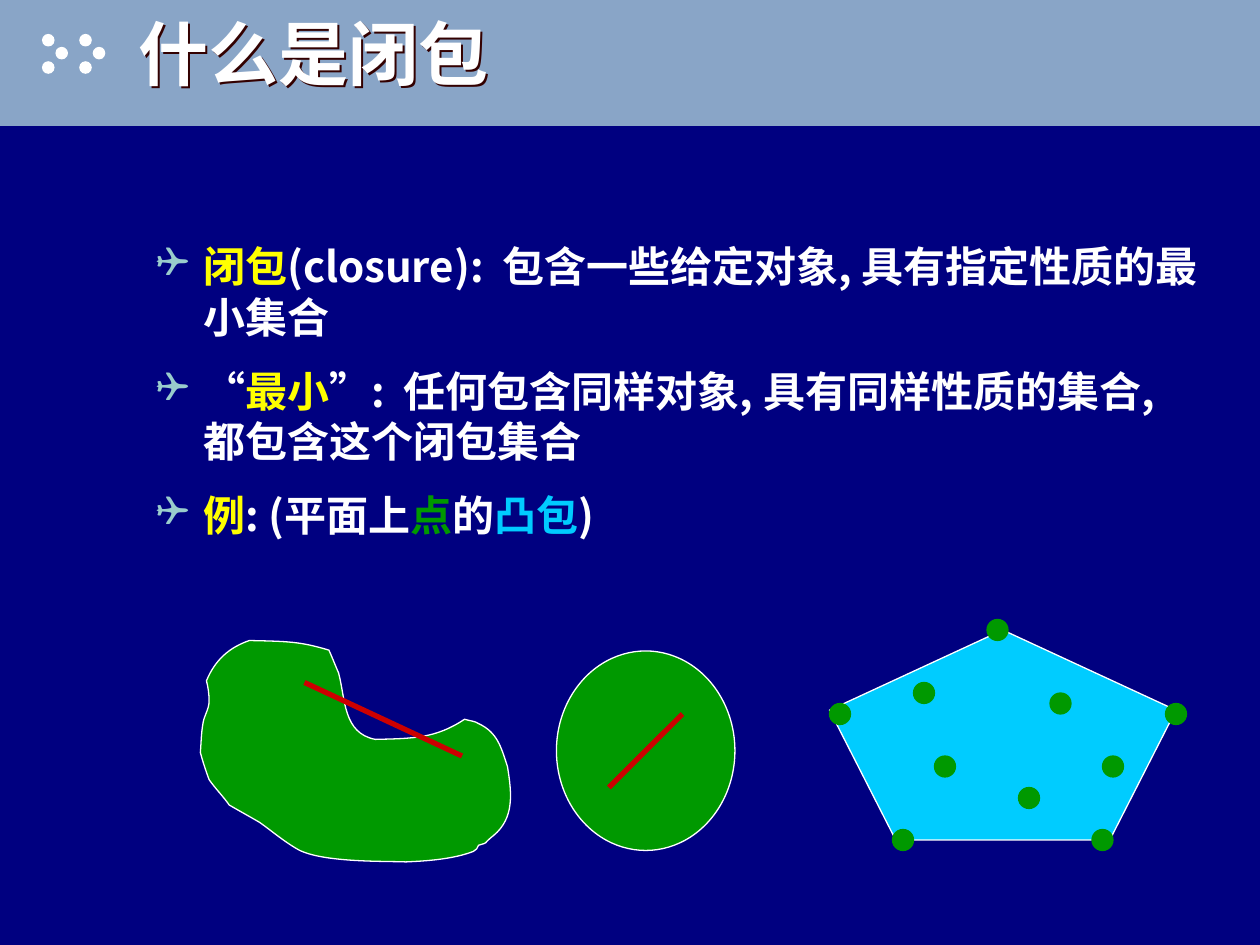
from lxml.etree import SubElement as Sub
from pptx import Presentation
from pptx.dml.color import RGBColor as RGB
from pptx.enum.shapes import MSO_CONNECTOR as Conn, MSO_SHAPE as Shape
from pptx.enum.text import MSO_ANCHOR as Anchor
from pptx.oxml.ns import qn
from pptx.util import Pt

NAVY = RGB(0x00, 0x00, 0x80)
STEEL = RGB(0x89, 0xA5, 0xC7)
WHITE = RGB(0xFF, 0xFF, 0xFF)
YELLOW = RGB(0xFF, 0xFF, 0x00)
GREEN = RGB(0x00, 0x99, 0x00)
CYAN = RGB(0x00, 0xCC, 0xFF)
RED = RGB(0xCC, 0x00, 0x00)
TEAL = RGB(0x99, 0xCC, 0xCC)
DARK = RGB(0x33, 0x00, 0x00)
SANS, LATIN = "Noto Sans CJK SC", "Arial"


class Deck:
    """Holds the style and the current slide."""

    def __init__(self, wide, high):
        self.prs = Presentation()
        self.prs.slide_width, self.prs.slide_height = Pt(wide), Pt(high)
        self.slide = self.prs.slides.add_slide(self.prs.slide_layouts[6])
        self.slide.background.fill.solid()
        self.slide.background.fill.fore_color.rgb = NAVY
        self.shapes = self.slide.shapes

    def paint(self, shape, fill, line=None):
        shape.shadow.inherit = False
        shape.fill.solid()
        shape.fill.fore_color.rgb = fill
        if line is None:
            shape.line.fill.background()
        else:
            shape.line.color.rgb = line
            shape.line.width = Pt(0.75)

    def shape(self, kind, x, y, w, h, fill, line=None):
        self.paint(self.shapes.add_shape(kind, Pt(x), Pt(y), Pt(w), Pt(h)), fill, line)

    def dots(self, spots, size, fill, line=None):
        for x, y in spots:
            self.shape(Shape.OVAL, x, y, size, size, fill, line)

    def curve(self, arcs, fill, line):
        """Closed outline of cubic arcs, each given as x1, y1, x2, y2, x, y."""
        ends = [(Pt(arc[4]), Pt(arc[5])) for arc in arcs]
        form = self.shapes.build_freeform(*ends[-1], scale=1.0)
        form.add_line_segments(ends, close=True)
        shape = form.convert_to_shape()
        left, top = shape.left, shape.top
        # Turn each straight segment into a cubic one
        for seg, arc in zip(list(shape._element.iter(qn("a:lnTo"))), arcs):
            seg.tag = qn("a:cubicBezTo")
            seg.clear()
            for x, y in zip(arc[::2], arc[1::2]):
                Sub(seg, qn("a:pt"), x=str(Pt(x) - left), y=str(Pt(y) - top))
        self.paint(shape, fill, line)

    def line(self, x1, y1, x2, y2, color, width):
        line = self.shapes.add_connector(Conn.STRAIGHT, Pt(x1), Pt(y1), Pt(x2), Pt(y2))
        line.line.color.rgb = color
        line.line.width = Pt(width)
        Sub(line._element.spPr, qn("a:effectLst"))

    def box(self, x, y, w, h, anchor):
        box = self.shapes.add_textbox(Pt(x), Pt(y), Pt(w), Pt(h))
        box.text_frame.word_wrap = True
        box.text_frame.vertical_anchor = anchor
        return box

    def run(self, para, text, color, name=SANS):
        run = para.add_run()
        run.text = text
        run.font.color.rgb = color
        run.font.bold = True
        run.font.name = name
        Sub(run.font._element, qn("a:ea"), typeface=SANS)

    def title(self, text, x, y, w, h):
        box = self.box(x, y, w, h, Anchor.MIDDLE)
        glow = Sub(Sub(box._element.spPr, qn("a:effectLst")), qn("a:outerShdw"),
                   dist=str(Pt(2)), dir="2700000", algn="ctr", rotWithShape="0")
        Sub(glow, qn("a:srgbClr"), val=str(DARK))
        para = box.text_frame.paragraphs[0]
        para.font.size = Pt(40)
        self.run(para, text, WHITE)

    def list(self, items, x, y, w, h):
        frame = self.box(x, y, w, h, Anchor.TOP).text_frame
        for i, item in enumerate(items):
            para = frame.add_paragraph() if i else frame.paragraphs[0]
            if i:
                para.space_before = Pt(13.5)
            props = para._p.get_or_add_pPr()
            props.set("marL", str(Pt(27)))
            props.set("indent", str(-Pt(27)))
            props.set("hangingPunct", "0")
            Sub(Sub(props, qn("a:buClr")), qn("a:srgbClr"), val=str(TEAL))
            Sub(props, qn("a:buFont"), typeface="Wingdings", charset="2")
            Sub(props, qn("a:buChar"), char="❑")
            para.font.size = Pt(24)
            for text, color in item:
                self.run(para, text, color, LATIN if text in "“”" else SANS)

    def save(self):
        self.prs.save("out.pptx")


ITEMS = [
    [("闭包", YELLOW), ("(closure):  包含一些给定对象, 具有指定性质的最小集合", WHITE)],
    [("“", WHITE), ("最小", YELLOW), ("”", WHITE),
     (":  任何包含同样对象, 具有同样性质的集合, 都包含这个闭包集合", WHITE)],
    [("例", YELLOW), (": (平面上", WHITE), ("点", GREEN), ("的", WHITE),
     ("凸包", CYAN), (")", WHITE)],
]
BLOB = [
    (123, 377, 131, 370, 142.5, 366),
    (164, 366.5, 171.5, 366.5, 188, 371.5),
    (190, 376, 191.5, 380, 193.5, 384.5),
    (197.5, 399.5, 196, 419, 214.5, 422.5),
    (236, 422, 249, 422, 265.5, 411),
    (268.5, 412, 271.5, 412, 273.5, 413.5),
    (284.5, 418.5, 286.5, 427.5, 290, 438),
    (292.5, 453.5, 294, 467.5, 282, 477.5),
    (275, 483, 280, 481, 273.5, 483),
    (273, 484.5, 272, 486, 270.5, 486.5),
    (259, 491, 243.5, 492, 232, 492.5),
    (220.5, 492, 184.5, 493, 170.5, 485.5),
    (162.5, 481, 155.5, 475, 148.5, 470),
    (142.5, 466.5, 137, 463.5, 131, 460),
    (127.5, 455, 123, 450.5, 119.5, 445.5),
    (117.5, 440, 116, 435.5, 114.5, 430),
    (115, 424, 115, 419, 116, 413.5),
    (116.5, 409, 119.5, 405.5, 119.5, 400.5),
    (119.5, 396.5, 119, 393, 118, 389),
]
CORNERS = [(564, 354), (666, 402), (474, 402), (510, 474), (624, 474)]
INNER = [(630, 432), (534, 432), (600, 396), (582, 450), (522, 390)]


def main():
    deck = Deck(720, 540)

    # Header band with two arrows of dots
    deck.shape(Shape.RECTANGLE, 0, 0, 720, 72, STEEL)
    for left in (24, 45.3):
        deck.dots([(left, 19.4), (left + 7.7, 26.8), (left, 35)], 7.2, WHITE)
    deck.title("什么是闭包", 72, 0, 648, 60)

    # Definition
    deck.list(ITEMS, 82, 134, 612, 324)

    # Convex hull of points
    deck.shape(Shape.REGULAR_PENTAGON, 474, 360, 198, 120, CYAN, WHITE)
    deck.dots(CORNERS, 12, GREEN, GREEN)

    # Concave and convex regions, each with a chord
    deck.curve(BLOB, GREEN, WHITE)
    deck.line(174, 390, 264, 432, RED, 3)
    deck.shape(Shape.OVAL, 318, 372, 102, 114, GREEN, WHITE)
    deck.line(390, 408, 348, 450, RED, 3)

    # Points inside the hull
    deck.dots(INNER, 12, GREEN, GREEN)
    deck.save()


if __name__ == "__main__":
    main()
